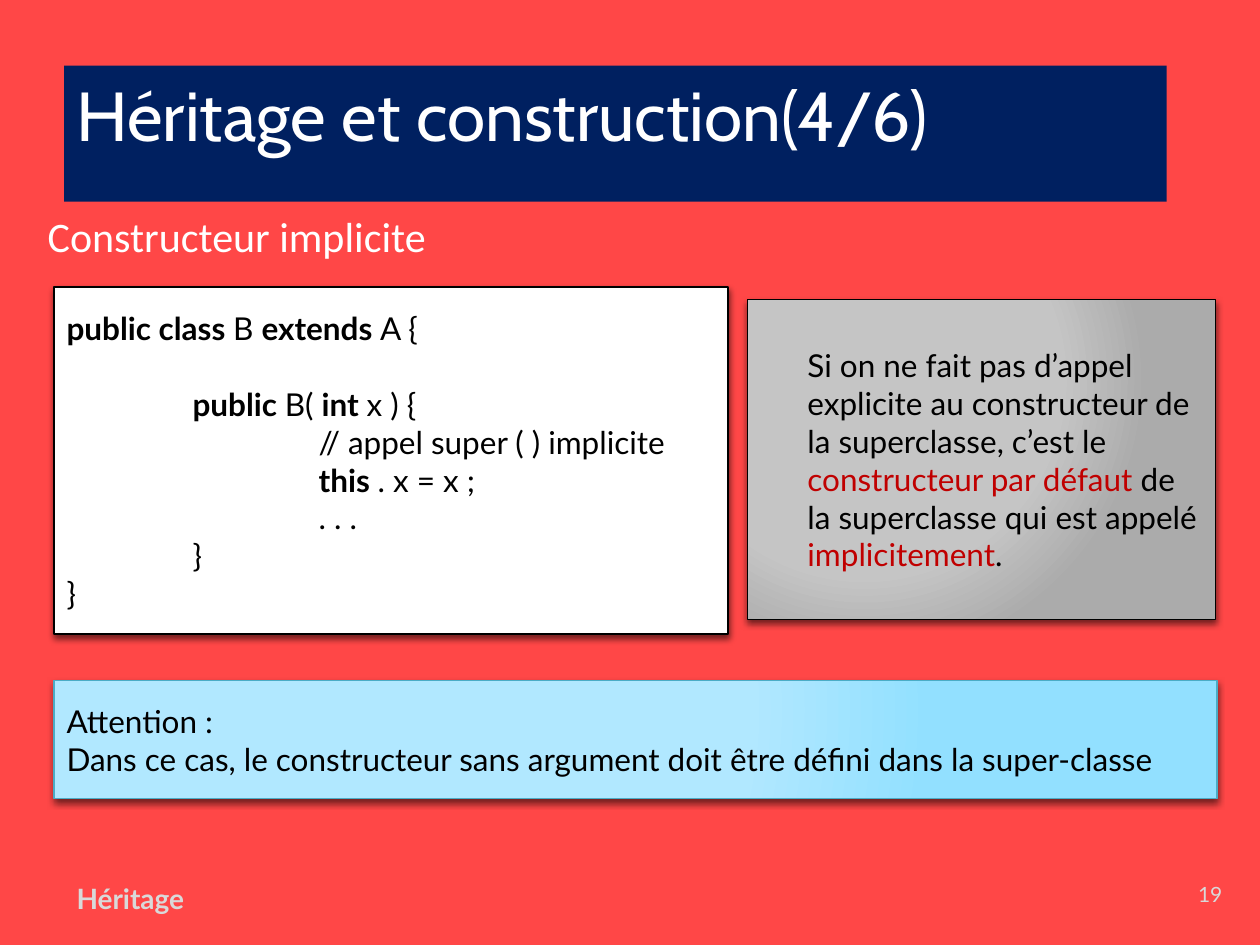
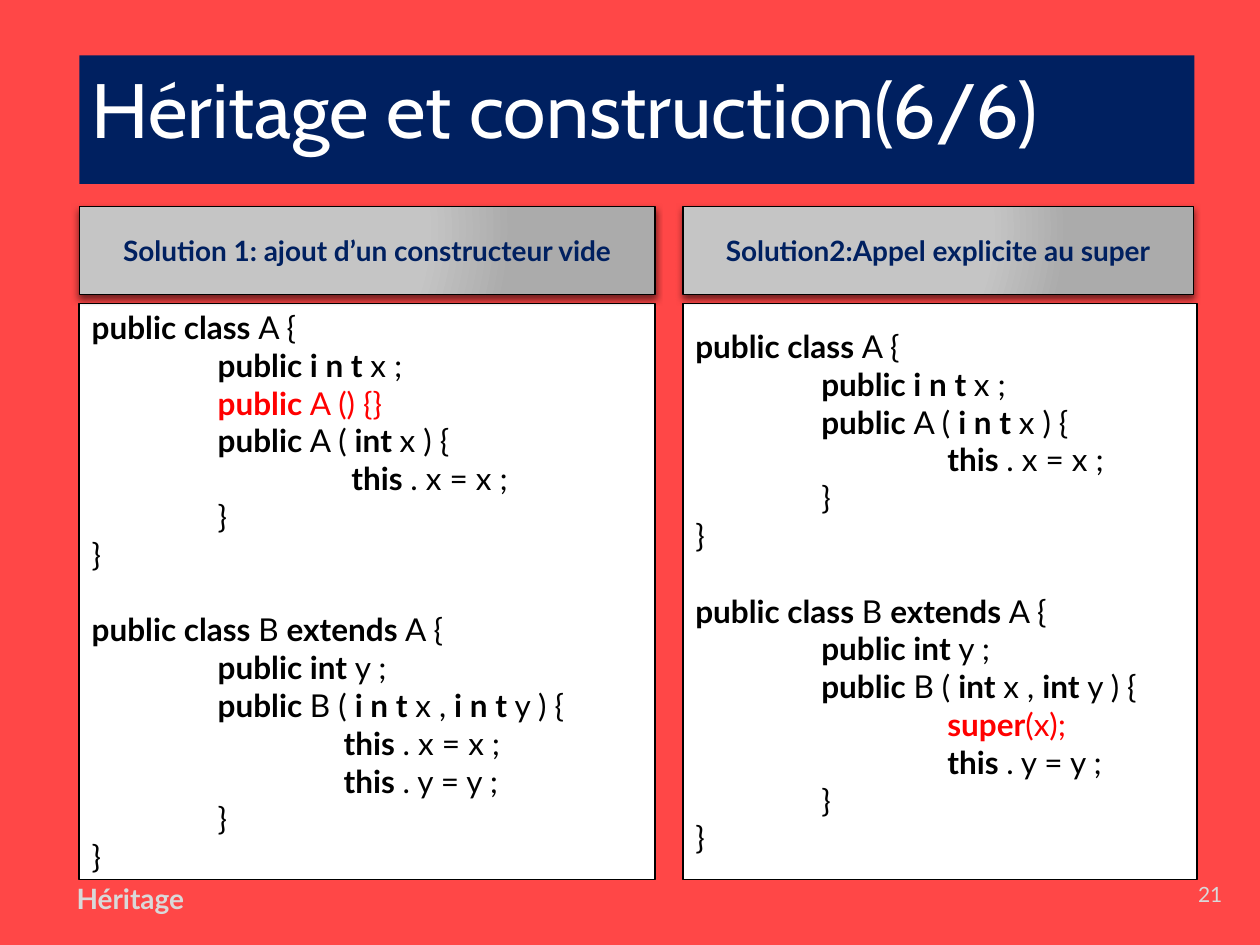
from pptx import Presentation
from pptx.dml.color import RGBColor
from pptx.enum.shapes import MSO_SHAPE
from pptx.enum.text import MSO_ANCHOR, PP_ALIGN
from pptx.oxml import parse_xml
from pptx.oxml.ns import nsdecls, qn
from pptx.util import Inches, Pt

RECTANGLE = MSO_SHAPE.RECTANGLE
TOP, MIDDLE = MSO_ANCHOR.TOP, MSO_ANCHOR.MIDDLE
LEFT, CENTER, RIGHT = PP_ALIGN.LEFT, PP_ALIGN.CENTER, PP_ALIGN.RIGHT

RED, NAVY, WHITE, BLACK, PALE = "FF4747", "002060", "FFFFFF", "000000", "D9D9D9"
GREY_GLOW = ("C5C5C5", "ABABAB")
BLUE_GLOW = ("B1E8FF", "92E0FF")
BLANK_LINE = Pt(21.6)
TAB_STOPS = (1, 2)

TITLE = {"fill": NAVY, "name": "Cabin", "ink": WHITE}
CODE = {"fill": WHITE, "line": BLACK, "line_width": 1, "anchor": MIDDLE}
GREY_PANEL = {"fill": GREY_GLOW, "line": BLACK, "anchor": MIDDLE, "shadow": True}
HEADING = {**GREY_PANEL, "size": 16, "ink": NAVY, "align": CENTER}


def color(value):
    return RGBColor.from_string(value)


def add_box(page, place, lines, fill=None, line=None, line_width=0.75, shadow=False,
            anchor=TOP, align=LEFT, name="Lato", size=18, ink=BLACK, accent="FF0000",
            indent=0):
    """Add a text rectangle; ** toggles bold, ~ toggles the accent colour,
    and an empty line becomes space before the next one."""
    box = page.shapes.add_shape(RECTANGLE, *[Inches(length) for length in place])
    box.shadow.inherit = False
    properties = box._element.spPr
    if shadow:
        properties.find(qn("a:effectLst")).append(parse_xml(
            f'<a:outerShdw {nsdecls("a")} blurRad="{Pt(4)}" dist="{Pt(2)}" dir="5400000" '
            'rotWithShape="0"><a:srgbClr val="000000"><a:alpha val="55000"/>'
            '</a:srgbClr></a:outerShdw>'))

    if fill is None:
        box.fill.background()
    elif isinstance(fill, str):
        box.fill.solid()
        box.fill.fore_color.rgb = color(fill)
    else:
        inner, outer = fill
        stops = "".join(
            f'<a:gs pos="{position}000"><a:srgbClr val="{tone}"/></a:gs>'
            for position, tone in ((0, inner), (35, inner), (69, inner), (100, outer)))
        box.fill.gradient()
        gradient = properties.find(qn("a:gradFill"))
        properties.replace(gradient, parse_xml(
            f'<a:gradFill {nsdecls("a")} rotWithShape="1"><a:gsLst>{stops}</a:gsLst>'
            '<a:path path="circle"><a:fillToRect l="50000" t="50000" '
            'r="100000" b="100000"/></a:path></a:gradFill>'))

    if line is None:
        box.line.fill.background()
    else:
        box.line.color.rgb = color(line)
        box.line.width = Pt(line_width)

    frame = box.text_frame
    frame.word_wrap = True
    frame.vertical_anchor = anchor
    para, gap = None, False
    for text in lines:
        if not text:
            gap = True
            continue
        para = frame.add_paragraph() if para is not None else frame.paragraphs[0]
        para.alignment = align
        if gap:
            para.space_before = BLANK_LINE
            gap = False
        if indent:
            para._p.get_or_add_pPr().set("marL", str(Inches(indent)))
        if "\t" in text:
            tabs = "".join(f'<a:tab pos="{Inches(stop)}" algn="l"/>' for stop in TAB_STOPS)
            para._p.get_or_add_pPr().append(
                parse_xml(f'<a:tabLst {nsdecls("a")}>{tabs}</a:tabLst>'))
        for bold_index, part in enumerate(text.split("**")):
            for accent_index, words in enumerate(part.split("~")):
                if not words:
                    continue
                span = para.add_run()
                span.text = words
                look = {"name": name, "size": Pt(size), "bold": bold_index % 2 == 1}
                for key, value in look.items():
                    setattr(span.font, key, value)
                span.font.color.rgb = color(accent if accent_index % 2 else ink)


deck = Presentation()
deck.slide_width, deck.slide_height = Inches(10), Inches(7.5)
background = deck.slide_master.background.fill
background.solid()
background.fore_color.rgb = color(RED)
blank = deck.slide_layouts[6]

# Implicit constructor
implicit = deck.slides.add_slide(blank)
add_box(implicit, (0.51, 0.52, 8.75, 1.08), ["Héritage et construction(4/6)"],
        size=39.6, **TITLE)
add_box(implicit, (0.28, 1.62, 9.23, 0.63), ["Constructeur implicite"],
        name="Calibri", size=24, ink=WHITE)
add_box(implicit, (0.43, 2.28, 5.35, 2.75), [
    "**public class **B **extends **A {",
    "",
    "**\tpublic **B( **int **x ) {",
    "\t\t// appel super ( ) implicite",
    "**\t\tthis **. x = x ;",
    "\t\t. . .",
    "\t}",
    "}",
], shadow=True, **CODE)
add_box(implicit, (5.93, 2.38, 3.72, 2.54), [
    "Si on ne fait pas d’appel explicite au constructeur de la superclasse, c’est le "
    "~constructeur par défaut ~de la superclasse qui est appelé ~implicitement~.",
], accent="C00000", indent=0.38, **GREY_PANEL)
add_box(implicit, (0.43, 5.4, 9.23, 0.94), [
    "Attention :",
    "Dans ce cas, le constructeur sans argument doit être défini dans la super-classe",
], fill=BLUE_GLOW, line="4BACC6", shadow=True, anchor=MIDDLE)

# Two solutions side by side
solutions = deck.slides.add_slide(blank)
add_box(solutions, (0.63, 0.44, 8.85, 1.02), ["Héritage et construction(6/6)"],
        size=44, **TITLE)
empty_constructor = [
    "**public class **A {",
    "**\tpublic i n t **x ;",
    "**\t~public ~**~A () {}~",
    "**\tpublic **A ( **int **x ) {",
    "**\t\t this **. x = x ;",
    "\t}",
    "}",
    "",
    "**public class **B **extends **A {",
    "**\tpublic int **y ;",
    "**\tpublic **B ( **i n t **x , **i n t **y ) {",
    "**\t\tthis **. x = x ;",
    "**\t\tthis **. y = y ;",
    "\t}",
    "}",
]
explicit_super = [
    "**public class **A {",
    "**\tpublic i n t **x ;",
    "**\tpublic **A ( **i n t **x ) {",
    "**\t\tthis **. x = x ;",
    "\t}",
    "}",
    "",
    "**public class **B **extends **A {",
    "**\tpublic int **y ;",
    "**\tpublic **B ( **int **x , **int **y ) {",
    "**\t\t~super~**~(x);~",
    "**\t\tthis **. y = y ;",
    "\t}",
    "}",
]
for left, heading_width, code_width, heading, code in (
        (0.63, 4.57, 4.57, "**Solution 1: ajout d’un constructeur vide**", empty_constructor),
        (5.42, 4.05, 4.08, "**Solution2:Appel explicite au super**", explicit_super)):
    add_box(solutions, (left, 2.41, code_width, 4.57), code, **CODE)
    add_box(solutions, (left, 1.64, heading_width, 0.7), [heading], **HEADING)

for page, number in ((implicit, "19"), (solutions, "21")):
    add_box(page, (0.51, 6.95, 3.7, 0.4), ["**Héritage**"], size=16, ink=PALE)
    add_box(page, (8.78, 6.95, 1.02, 0.4), [number], size=12, ink=PALE, align=RIGHT)

deck.save("out.pptx")
